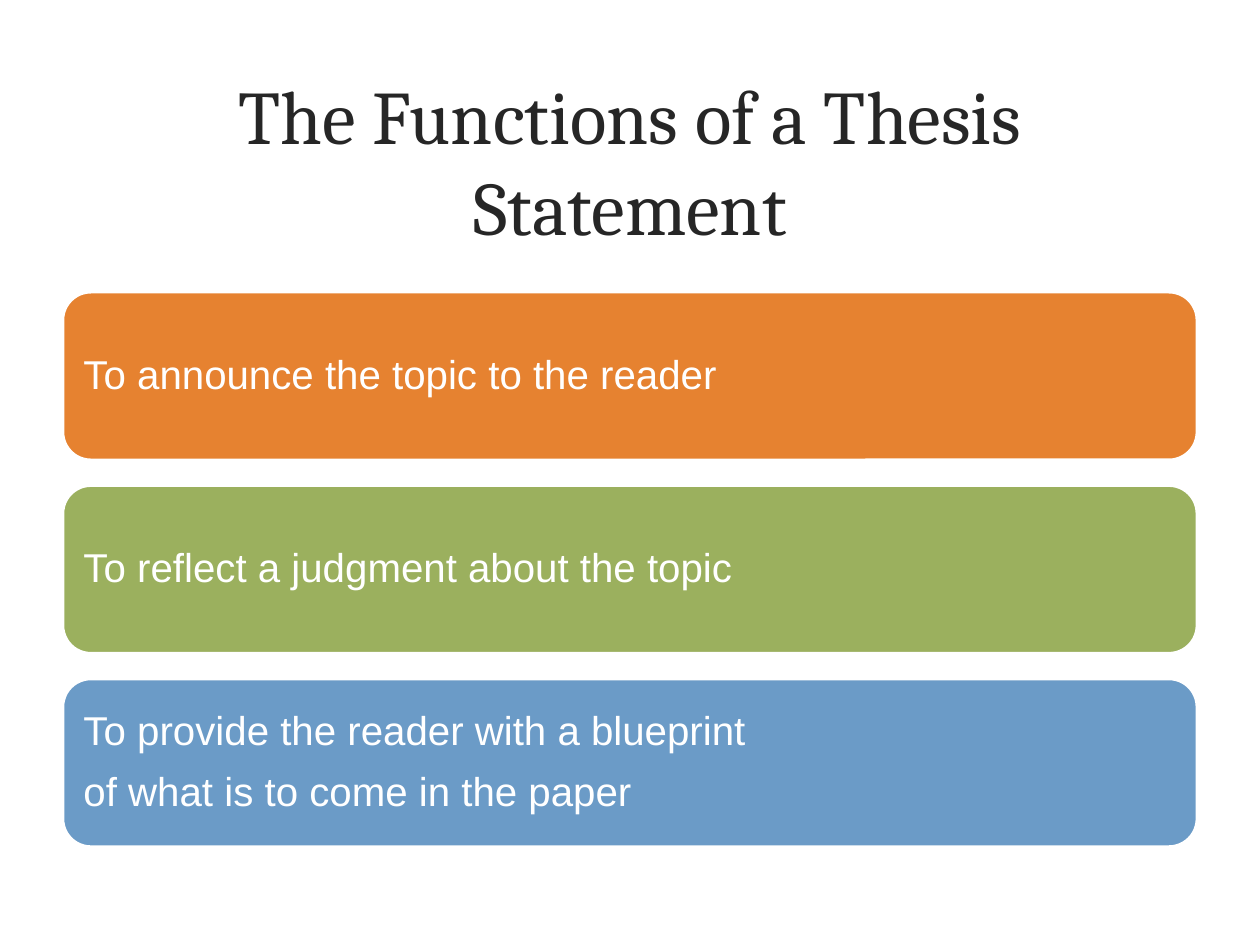
import pptx
import pptx.util
import pptx.dml.color
import pptx.enum.shapes
import pptx.enum.text

Pt = pptx.util.Pt
ALIGN = pptx.enum.text.PP_ALIGN
MIDDLE = pptx.enum.text.MSO_ANCHOR.MIDDLE

COLORS = {
    "ink": "262626",
    "white": "FFFFFF",
    "orange": "E68230",
    "green": "9BB05E",
    "blue": "6B9BC7",
}
TITLE = "The Functions of a Thesis Statement"
BARS = [
    ("orange", ["To announce the topic to the reader"]),
    ("green", ["To reflect a judgment about the topic"]),
    ("blue", ["To provide the reader with a blueprint",
              "of what is to come in the paper"]),
]

TITLE_BOX = (43.2, 34.6, 633.6, 113.8)
LEFT, TOP, WIDTH, HEIGHT, GAP = 36, 167, 648, 95.8, 14.7

FRAME = {"word_wrap": True, "vertical_anchor": MIDDLE,
         "auto_size": pptx.enum.text.MSO_AUTO_SIZE.NONE}
INSETS = {"margin_" + side: Pt(7.2)
          for side in ("left", "top", "right", "bottom")}
TITLE_FONT = {"name": "Cambria", "size": Pt(43.2)}
BAR_FONT = {"name": "Arial", "size": Pt(23)}
TITLE_PARA = {"alignment": ALIGN.CENTER}
BAR_PARA = {"alignment": ALIGN.LEFT, "line_spacing": 0.9,
            "space_after": Pt(10)}


def apply(target, values):
    for name, value in values.items():
        setattr(target, name, value)


def color(name):
    return pptx.dml.color.RGBColor.from_string(COLORS[name])


def write(shape, lines, frame, para, font, ink):
    """Fill a shape with one formatted paragraph per line."""
    text = shape.text_frame
    text.text = "\n".join(lines)
    apply(text, frame)
    for item in text.paragraphs:
        apply(item, para)
        apply(item.font, font)
        item.font.color.rgb = color(ink)


def add_bar(group, top, fill, lines):
    bar = group.shapes.add_shape(
        pptx.enum.shapes.MSO_SHAPE.ROUNDED_RECTANGLE,
        Pt(LEFT), Pt(top), Pt(WIDTH), Pt(HEIGHT))
    bar.shadow.inherit = False
    bar.fill.solid()
    bar.fill.fore_color.rgb = color(fill)
    bar.line.color.rgb = color("white")
    bar.line.width = Pt(1.5)
    write(bar, lines, FRAME | INSETS, BAR_PARA, BAR_FONT, "white")


def main():
    deck = pptx.Presentation()
    apply(deck, {"slide_width": Pt(720), "slide_height": Pt(540)})
    slide = deck.slides.add_slide(deck.slide_layouts.get_by_name("Title Only"))

    title = slide.shapes.title
    apply(title, dict(zip(("left", "top", "width", "height"),
                          map(Pt, TITLE_BOX))))
    write(title, [TITLE], FRAME, TITLE_PARA, TITLE_FONT, "ink")

    group = slide.shapes.add_group_shape()
    for row, (fill, lines) in enumerate(BARS):
        add_bar(group, TOP + row * (HEIGHT + GAP), fill, lines)

    deck.save("out.pptx")


if __name__ == "__main__":
    main()
